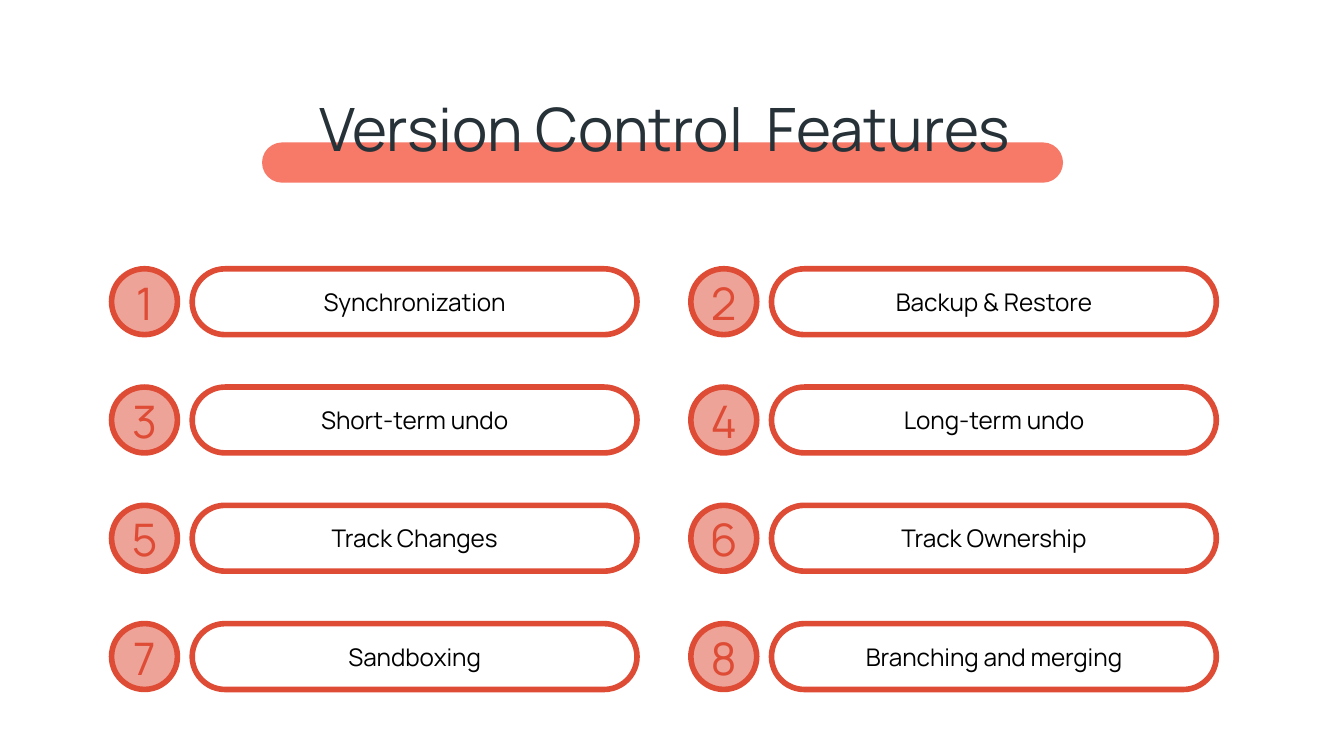
from dataclasses import dataclass
from typing import NamedTuple

from pptx import Presentation
from pptx.dml.color import RGBColor
from pptx.enum.shapes import MSO_SHAPE
from pptx.enum.text import MSO_ANCHOR, MSO_AUTO_SIZE, PP_ALIGN
from pptx.util import Inches, Pt


@dataclass(frozen=True)
class Theme:
    font: str = "Manrope"
    ink: str = "263238"
    text: str = "000000"
    bar: str = "F77967"
    disc: str = "EEA398"
    edge: str = "DE4C36"
    head: int = 32
    body: int = 13
    digit: int = 24
    line: int = 3


@dataclass(frozen=True)
class Grid:
    left: float = 0.83
    top: float = 2.0
    col: float = 4.31
    row: float = 0.88
    cols: int = 2

    def place(self, index: int) -> tuple[float, float]:
        row, col = divmod(index, self.cols)
        return self.left + col * self.col, self.top + row * self.row


class Box(NamedTuple):
    left: float
    top: float
    width: float
    height: float

    def shift(self, x: float, y: float) -> "Box":
        return Box(self.left + x, self.top + y, self.width, self.height)

    def emu(self) -> list[int]:
        return [Inches(side) for side in self]


THEME = Theme()
GRID = Grid()
WIDTH = Inches(10)
HEIGHT = WIDTH * 9 // 16
DISC = Box(0, 0, 0.49, 0.49)
DIGIT = Box(0.02, 0.1, 0.45, 0.3)
PILL = Box(0.6, 0, 3.31, 0.49)
TITLE = Box(0.74, 0.58, 8.42, 0.67)
BAR = Box(1.95, 1.06, 5.96, 0.3)
LABELS = (
    "Synchronization", "Backup & Restore",
    "Short-term undo", "Long-term undo",
    "Track Changes", "Track Ownership",
    "Sandboxing", "Branching and merging",
)


def write(shape, text: str, size: int, color: str,
          anchor: MSO_ANCHOR = MSO_ANCHOR.MIDDLE) -> None:
    frame = shape.text_frame
    frame.text = text
    frame.word_wrap = True
    frame.auto_size = MSO_AUTO_SIZE.NONE
    frame.vertical_anchor = anchor
    frame.margin_left = frame.margin_right = Inches(0.1)
    frame.margin_top = frame.margin_bottom = Inches(0.1)
    para = frame.paragraphs[0]
    para.alignment = PP_ALIGN.CENTER
    para.font.name = THEME.font
    para.font.size = Pt(size)
    para.font.color.rgb = RGBColor.from_string(color)


def draw(slide, kind: MSO_SHAPE, box: Box,
         fill: str | None = None, edge: str | None = None):
    shape = slide.shapes.add_shape(kind, *box.emu())
    shape.shadow.inherit = False
    if kind == MSO_SHAPE.ROUNDED_RECTANGLE:
        shape.adjustments[0] = 0.5
    if fill:
        shape.fill.solid()
        shape.fill.fore_color.rgb = RGBColor.from_string(fill)
    else:
        shape.fill.background()
    if edge:
        shape.line.color.rgb = RGBColor.from_string(edge)
        shape.line.width = Pt(THEME.line)
    else:
        shape.line.fill.background()
    return shape


def add_title(slide, text: str) -> None:
    title = slide.shapes.title
    title.left, title.top, title.width, title.height = TITLE.emu()
    write(title, text, THEME.head, THEME.ink, MSO_ANCHOR.TOP)
    bar = draw(slide, MSO_SHAPE.ROUNDED_RECTANGLE, BAR, THEME.bar)
    title.element.addprevious(bar.element)


def add_item(slide, index: int, label: str) -> None:
    x, y = GRID.place(index)
    draw(slide, MSO_SHAPE.OVAL, DISC.shift(x, y), THEME.disc, THEME.edge)
    pill = draw(slide, MSO_SHAPE.ROUNDED_RECTANGLE, PILL.shift(x, y),
                edge=THEME.edge)
    write(pill, label, THEME.body, THEME.text)
    digit = slide.shapes.add_textbox(*DIGIT.shift(x, y).emu())
    write(digit, str(index + 1), THEME.digit, THEME.edge)


def main() -> None:
    deck = Presentation()
    deck.slide_width, deck.slide_height = WIDTH, HEIGHT
    slide = deck.slides.add_slide(deck.slide_layouts.get_by_name("Title Only"))
    add_title(slide, "Version Control  Features")
    for index, label in enumerate(LABELS):
        add_item(slide, index, label)
    deck.save("out.pptx")


if __name__ == "__main__":
    main()
